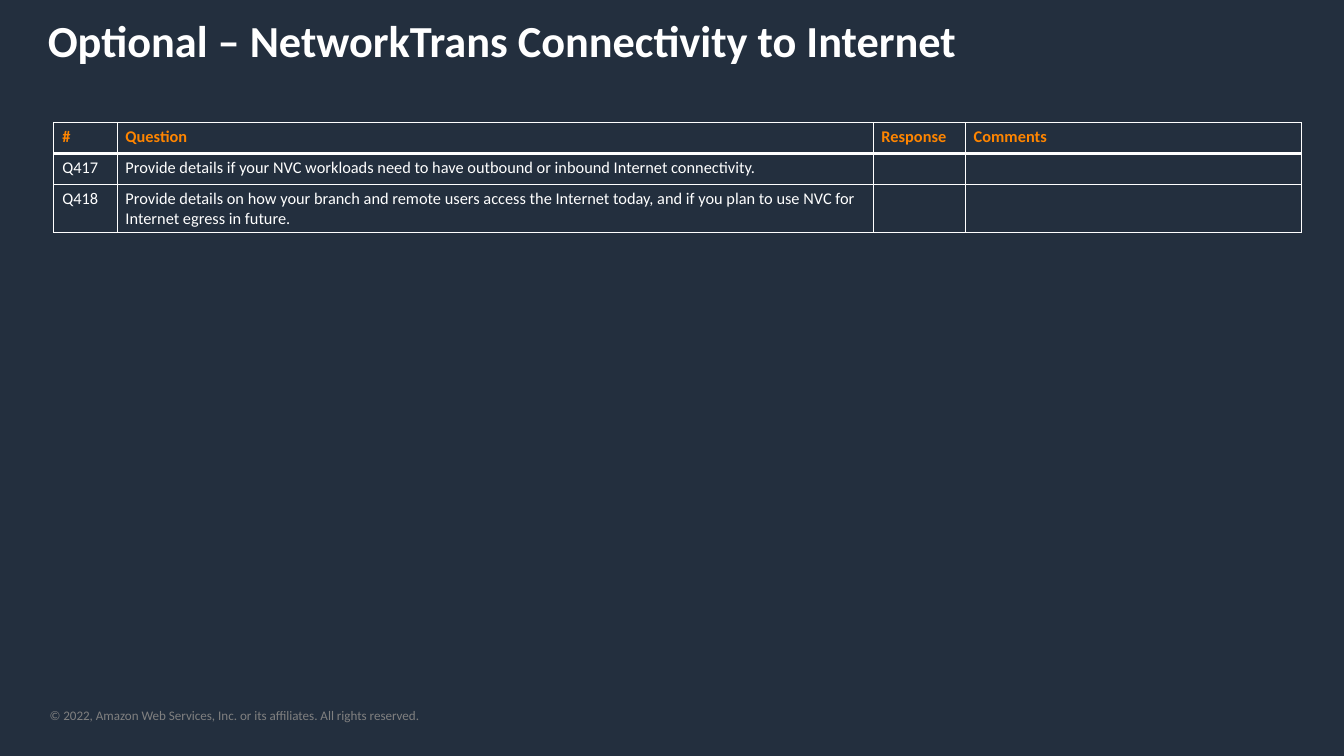
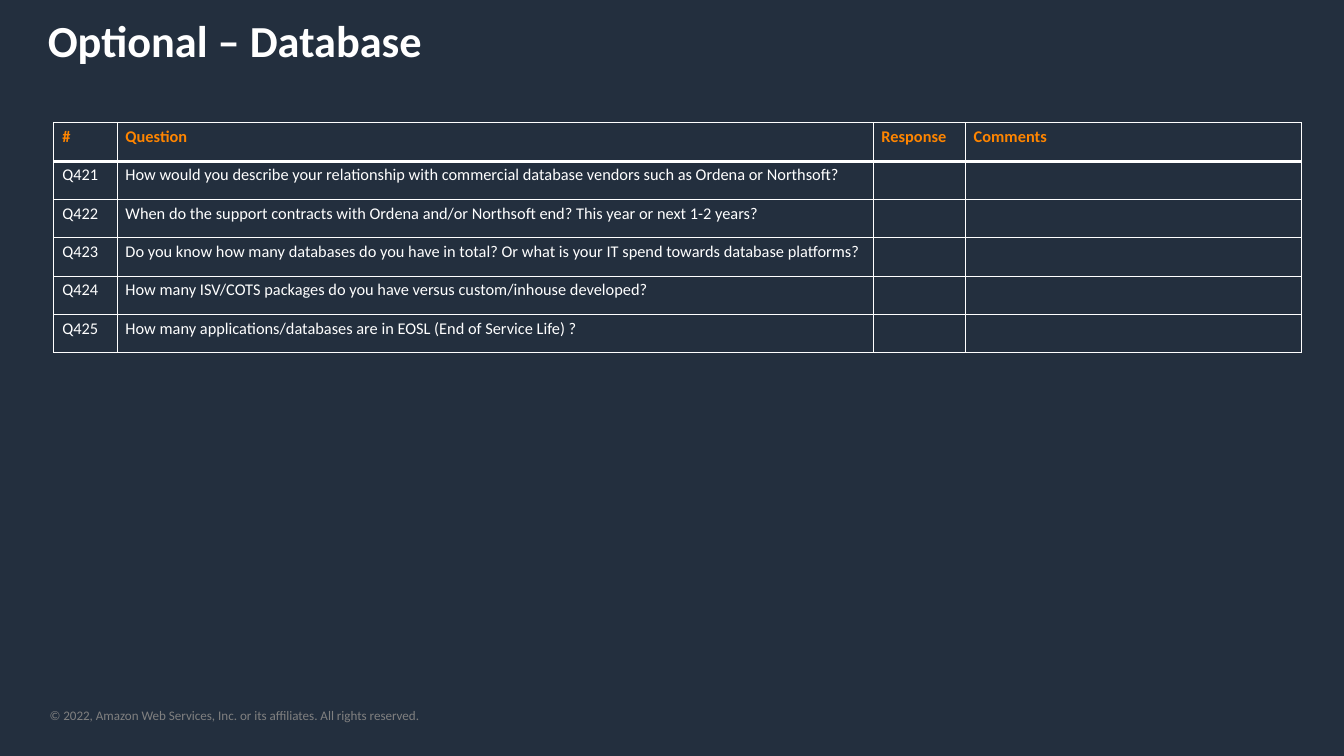
from lxml import etree
from pptx import Presentation
from pptx.dml.color import RGBColor
from pptx.enum import text as t
from pptx.oxml import ns
from pptx.util import Cm, Pt

# Content
HEADER = ("#", "Question", "Response", "Comments")
FOOTER = "© 2022, Amazon Web Services, Inc. or its affiliates. All rights reserved."
SLIDES = [
    {
        "title": "Optional – NetworkTrans Connectivity to Internet",
        "row_height": 0.94,
        "questions": [
            ("Q417", "Provide details if your NVC workloads need to have outbound or inbound Internet connectivity."),
            ("Q418", "Provide details on how your branch and remote users access the Internet today, "
                     "and if you plan to use NVC for Internet egress in future."),
        ],
    },
    {
        "title": "Optional – Database",
        "row_height": 1.16,
        "questions": [
            ("Q421", "How would you describe your relationship with commercial database vendors "
                     "such as Ordena or Northsoft?"),
            ("Q422", "When do the support contracts with Ordena and/or Northsoft end? This year or next 1-2 years?"),
            ("Q423", "Do you know how many databases do you have in total? "
                     "Or what is your IT spend towards database platforms?"),
            ("Q424", "How many ISV/COTS packages do you have versus custom/inhouse developed?"),
            ("Q425", "How many applications/databases are in EOSL (End of Service Life) ?"),
        ],
    },
]

# Shared style
COLORS = {"background": "232F3E", "text": "FFFFFF", "accent": "FF8500", "footer": "808080"}
FONT = "Calibri"
TABLE_SIZE = 14
COLUMN_WIDTHS = (1.91, 22.86, 2.79, 10.16)
THIN, THICK = 1, 3


def write(frame, text, size=TABLE_SIZE, color="text", bold=False):
    para = frame.paragraphs[0]
    para.alignment = t.PP_ALIGN.LEFT
    if not text:
        # An empty cell keeps the table's text size, so its row does not grow
        etree.SubElement(para._p, ns.qn("a:endParaRPr"), sz=str(size * 100))
        return
    span = para.add_run()
    span.text = text
    span.font.name = FONT
    span.font.size = Pt(size)
    span.font.bold = bold
    span.font.color.rgb = RGBColor.from_string(COLORS[color])


def set_borders(cell, top, bottom):
    properties = cell._tc.get_or_add_tcPr()
    widths = {"lnL": THIN, "lnR": THIN, "lnT": top, "lnB": bottom}
    for index, (side, width) in enumerate(widths.items()):
        line = etree.Element(ns.qn(f"a:{side}"), w=str(Pt(width)))
        fill = etree.SubElement(line, ns.qn("a:solidFill"))
        etree.SubElement(fill, ns.qn("a:srgbClr"), val=COLORS["text"])
        properties.insert(index, line)


def add_title(page, text):
    title = page.shapes.title
    title.left, title.top, title.width, title.height = Cm(1.19), Cm(0.28), Cm(38.76), Cm(1.88)
    title.text_frame.vertical_anchor = t.MSO_ANCHOR.TOP
    title.text_frame.word_wrap = True
    write(title.text_frame, text, size=38, bold=True)


def add_footer(page):
    frame = page.shapes.add_textbox(Cm(1.5), Cm(21.39), Cm(19.76), Cm(0.48)).text_frame
    frame.margin_left = frame.margin_right = frame.margin_top = frame.margin_bottom = 0
    frame.word_wrap = True
    write(frame, FOOTER, size=11.2, color="footer")


def add_questions(page, questions, row_height):
    rows = [HEADER] + [(number, question, "", "") for number, question in questions]
    table = page.shapes.add_table(
        len(rows), len(HEADER), Cm(1.63), Cm(3.71),
        Cm(sum(COLUMN_WIDTHS)), Cm(row_height * len(rows))).table
    table.horz_banding = False
    table.first_row = False
    for column, width in zip(table.columns, COLUMN_WIDTHS):
        column.width = Cm(width)
    for r, values in enumerate(rows):
        table.rows[r].height = Cm(row_height)
        heading = r == 0
        for c, value in enumerate(values):
            cell = table.cell(r, c)
            cell.fill.background()
            set_borders(cell, top=THICK if r == 1 else THIN, bottom=THICK if heading else THIN)
            write(cell.text_frame, value, color="accent" if heading else "text", bold=heading)


def main():
    deck = Presentation()
    deck.slide_width, deck.slide_height = Cm(40.64), Cm(22.86)
    background = deck.slide_master.background.fill
    background.solid()
    background.fore_color.rgb = RGBColor.from_string(COLORS["background"])
    for content in SLIDES:
        page = deck.slides.add_slide(deck.slide_layouts.get_by_name("Title Only"))
        add_footer(page)
        add_title(page, content["title"])
        add_questions(page, content["questions"], content["row_height"])
    deck.save("out.pptx")


if __name__ == "__main__":
    main()
